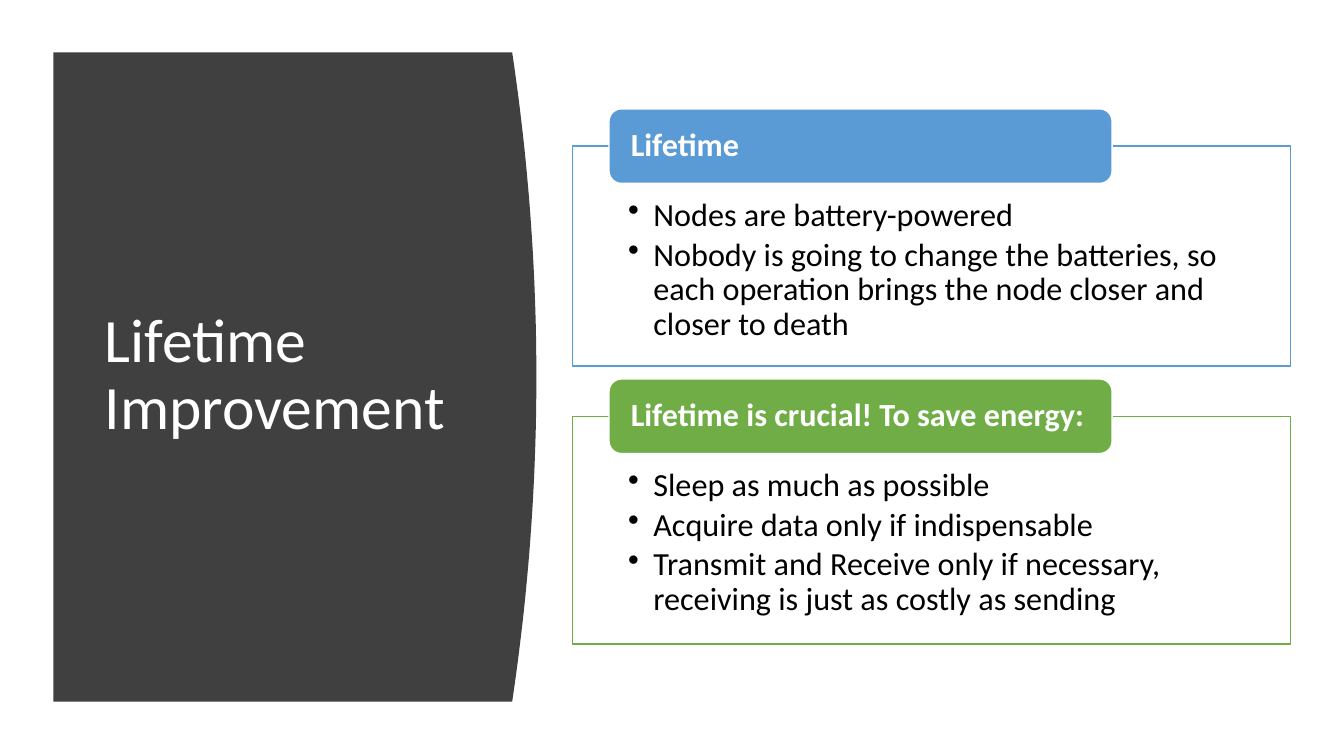
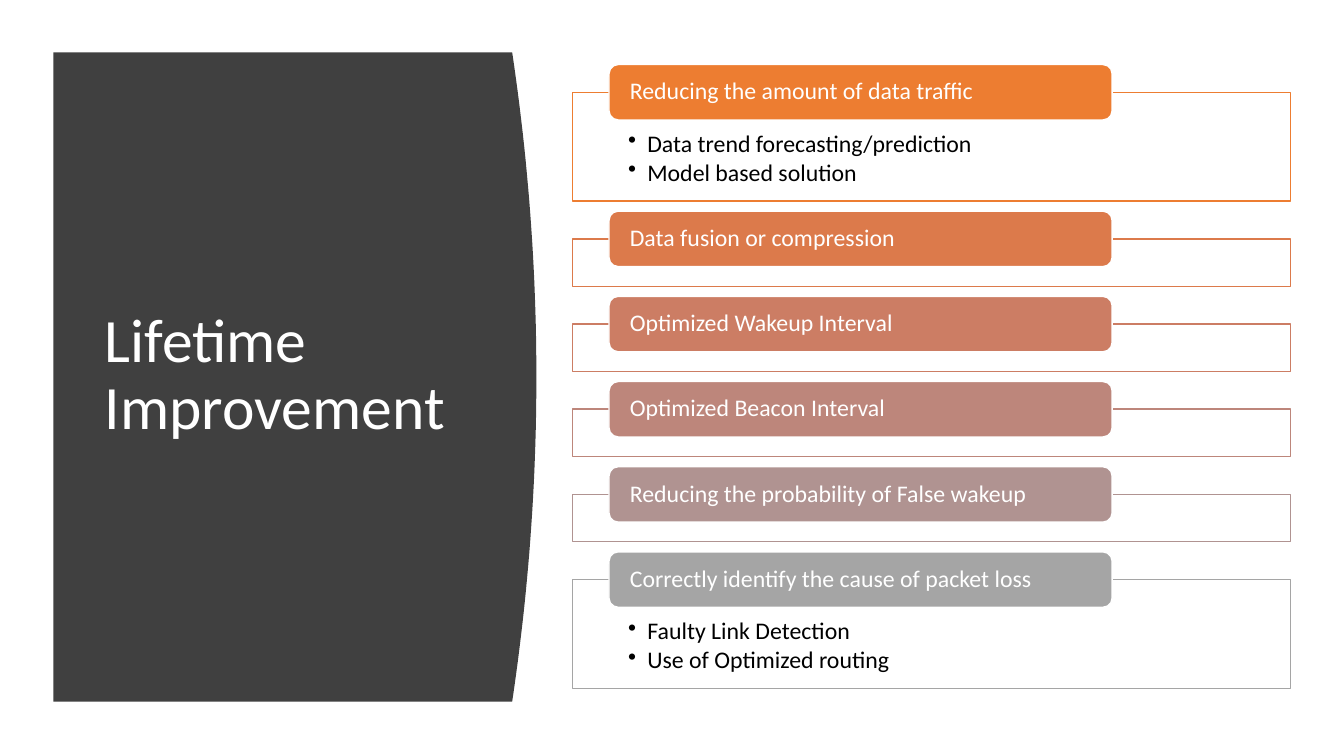
"""Build the two Lifetime Improvement slides."""
from dataclasses import dataclass

import lxml.etree
import pptx
import pptx.dml.color
import pptx.enum.shapes
import pptx.enum.text
import pptx.oxml.ns
import pptx.presentation
import pptx.shapes.autoshape
import pptx.slide
import pptx.text.text
import pptx.util

Inches = pptx.util.Inches
Pt = pptx.util.Pt
Preset = pptx.enum.shapes.MSO_SHAPE
Anchor = pptx.enum.text.MSO_ANCHOR
qn = pptx.oxml.ns.qn

FONT = "Calibri"
WHITE, BLACK, CHARCOAL = "FFFFFF", "000000", "404040"
TITLE = "Lifetime Improvement"
FRAME_LEFT, FRAME_WIDTH = 5.68, 7.12
TAB_LEFT, TAB_WIDTH = 6.04, 4.99
PANEL_LEFT, PANEL_TOP, PANEL_BOTTOM = 0.53, 0.52, 6.96
PANEL_EDGE, PANEL_BULGE, CURVE_STEPS = 5.08, 0.24, 48


@dataclass(frozen=True)
class Section:
    """A coloured heading tab over a frame of bullets."""

    heading: str
    color: str
    frame_height: float
    bullets: tuple[str, ...] = ()


@dataclass(frozen=True)
class Stack:
    """The sections of one slide and the measures they share."""

    top: float
    tab_height: float
    gap: float
    size: float
    indent: float
    inset_top: float
    inset_bottom: float
    space_after: float
    bold: bool
    sections: tuple[Section, ...]


STACKS = (
    Stack(1.08, 0.74, 0.13, 23, 0.25, 0.52, 0.18, 3.5, True, (
        Section("Lifetime", "5B9BD5", 2.18, (
            "Nodes are battery-powered",
            "Nobody is going to change the batteries, so each operation "
            "brings the node closer and closer to death",
        )),
        Section("Lifetime is crucial! To save energy:", "70AD47", 2.26, (
            "Sleep as much as possible",
            "Acquire data only if indispensable",
            "Transmit and Receive only if necessary, "
            "receiving is just as costly as sending",
        )),
    )),
    Stack(0.64, 0.55, 0.1, 17, 0.19, 0.39, 0.13, 2.5, False, (
        Section("Reducing the amount of data traffic", "ED7D31", 1.08, (
            "Data trend forecasting/prediction",
            "Model based solution",
        )),
        Section("Data fusion or compression", "DC7A4B", 0.47),
        Section("Optimized Wakeup Interval", "CC7D64", 0.47),
        Section("Optimized Beacon Interval", "BD867B", 0.47),
        Section("Reducing the probability of False wakeup", "B09391", 0.47),
        Section("Correctly identify the cause of packet loss", "A5A5A5", 1.08, (
            "Faulty Link Detection",
            "Use of Optimized routing",
        )),
    )),
)


def rgb(color: str) -> pptx.dml.color.RGBColor:
    """Return the colour for a hex string."""
    return pptx.dml.color.RGBColor.from_string(color)


def paint(shape: pptx.shapes.autoshape.Shape, fill: str, line: str | None = None) -> None:
    """Fill and outline a shape without a shadow."""
    shape.shadow.inherit = False
    shape.fill.solid()
    shape.fill.fore_color.rgb = rgb(fill)
    if line is None:
        shape.line.fill.background()
    else:
        shape.line.color.rgb = rgb(line)
        shape.line.width = Pt(1)


def set_frame(frame: pptx.text.text.TextFrame, anchor: Anchor, left: float,
              top: float, bottom: float) -> None:
    """Set wrapping, anchoring and insets, with equal sides."""
    frame.word_wrap = True
    frame.vertical_anchor = anchor
    frame.margin_left = frame.margin_right = Inches(left)
    frame.margin_top, frame.margin_bottom = Inches(top), Inches(bottom)


def write(paragraph: pptx.text.text._Paragraph, text: str, size: float,
          color: str, bold: bool = False) -> None:
    """Add one left-aligned run to a paragraph."""
    paragraph.alignment = pptx.enum.text.PP_ALIGN.LEFT
    paragraph.line_spacing = 0.9
    run = paragraph.add_run()
    run.text = text
    run.font.name = FONT
    run.font.size = Pt(size)
    run.font.bold = bold
    run.font.color.rgb = rgb(color)


def add_panel(slide: pptx.slide.Slide) -> None:
    """Draw the dark panel with its bowed edge behind the title."""
    middle = (PANEL_TOP + PANEL_BOTTOM) / 2
    half = (PANEL_BOTTOM - PANEL_TOP) / 2
    positions = [2 * step / CURVE_STEPS - 1 for step in range(CURVE_STEPS + 1)]
    edge = [
        (Inches(PANEL_EDGE + PANEL_BULGE * (1 - u * u)), Inches(middle + half * u))
        for u in positions
    ]
    builder = slide.shapes.build_freeform(Inches(PANEL_LEFT), Inches(PANEL_TOP))
    builder.add_line_segments([*edge, (Inches(PANEL_LEFT), Inches(PANEL_BOTTOM))], close=True)
    panel = builder.convert_to_shape()
    paint(panel, CHARCOAL)
    slide.shapes.title.element.addprevious(panel.element)


def add_title(slide: pptx.slide.Slide) -> None:
    """Place and format the slide title."""
    title = slide.shapes.title
    title.left, title.top = Inches(0.94), Inches(1.11)
    title.width, title.height = Inches(3.74), Inches(5.24)
    set_frame(title.text_frame, Anchor.MIDDLE, 0.1, 0.05, 0.05)
    write(title.text_frame.paragraphs[0], TITLE, 44, WHITE)


def add_bullets(frame: pptx.text.text.TextFrame, bullets: tuple[str, ...],
                stack: Stack) -> None:
    """Write the bullets of a section."""
    set_frame(frame, Anchor.TOP, 0.55, stack.inset_top, stack.inset_bottom)
    for index, bullet in enumerate(bullets):
        paragraph = frame.add_paragraph() if index else frame.paragraphs[0]
        paragraph.level = 1
        paragraph.space_after = Pt(stack.space_after)
        properties = paragraph._p.get_or_add_pPr()
        properties.set("marL", str(Inches(stack.indent)))
        properties.set("indent", str(-Inches(stack.indent)))
        lxml.etree.SubElement(properties, qn("a:buChar"), char="•")
        write(paragraph, bullet, stack.size, BLACK)


def add_section(slide: pptx.slide.Slide, section: Section, stack: Stack,
                top: float) -> float:
    """Draw a section and return the bottom of its frame."""
    frame_top = top + stack.tab_height / 2
    frame = slide.shapes.add_shape(
        Preset.RECTANGLE, Inches(FRAME_LEFT), Inches(frame_top),
        Inches(FRAME_WIDTH), Inches(section.frame_height))
    paint(frame, WHITE, section.color)
    fill = frame.element.spPr.find(qn("a:solidFill"))
    lxml.etree.SubElement(fill[0], qn("a:alpha"), val="90000")
    if section.bullets:
        add_bullets(frame.text_frame, section.bullets, stack)

    tab = slide.shapes.add_shape(
        Preset.ROUNDED_RECTANGLE, Inches(TAB_LEFT), Inches(top),
        Inches(TAB_WIDTH), Inches(stack.tab_height))
    paint(tab, section.color, WHITE)
    set_frame(tab.text_frame, Anchor.MIDDLE, 0.18, 0, 0)
    write(tab.text_frame.paragraphs[0], section.heading, stack.size, WHITE, stack.bold)
    return frame_top + section.frame_height


def add_stack_slide(deck: pptx.presentation.Presentation, stack: Stack) -> None:
    """Add a slide with the title panel and a stack of sections."""
    slide = deck.slides.add_slide(deck.slide_layouts[5])
    add_panel(slide)
    add_title(slide)
    top = stack.top
    for section in stack.sections:
        top = add_section(slide, section, stack, top) + stack.gap


def main() -> None:
    """Build and save the presentation."""
    deck = pptx.Presentation()
    deck.slide_width, deck.slide_height = Inches(13.33), Inches(7.5)
    for stack in STACKS:
        add_stack_slide(deck, stack)
    deck.save("out.pptx")


if __name__ == "__main__":
    main()
